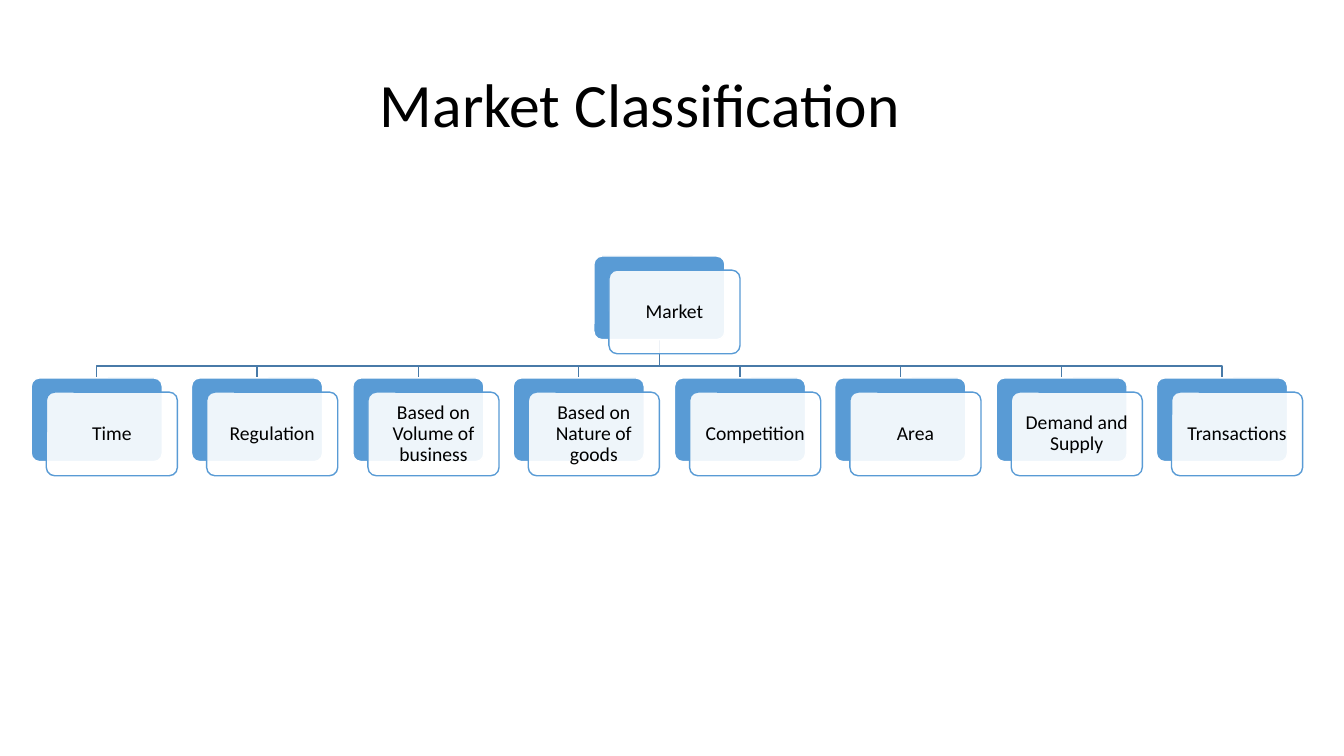
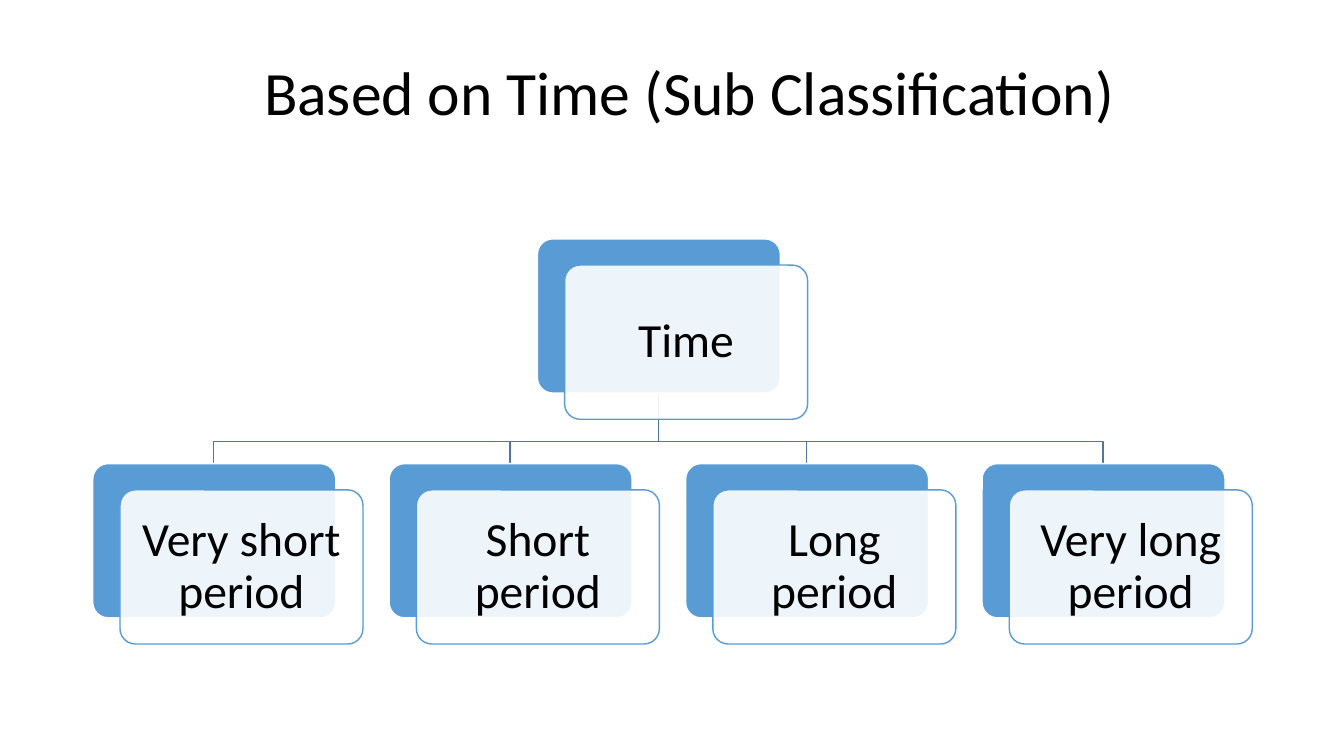
"""Build two slides that show market classifications as tree charts."""
from lxml import etree
from pptx import Presentation
from pptx import util as u
from pptx.dml.color import RGBColor
from pptx.enum import shapes, text
from pptx.oxml.ns import qn

PX = 9144
FONT = "Calibri"
BLACK = RGBColor(0x00, 0x00, 0x00)
WHITE = RGBColor(0xFF, 0xFF, 0xFF)
CARD_BLUE = RGBColor(0x59, 0x9B, 0xD5)
BRANCH_BLUE = RGBColor(0x48, 0x7A, 0xA8)
SLIDE_WIDTH, SLIDE_HEIGHT = 1333, 750
TITLE_HEIGHT = 145

TREES = [
    {
        "title": "Market Classification", "title_at": (367, 34),
        "root": "Market", "root_top": 254,
        "children": ["Time", "Regulation", "Based on Volume of business",
                     "Based on Nature of goods", "Competition", "Area",
                     "Demand and Supply", "Transactions"],
        "first_left": 31, "last_left": 1147, "children_top": 375,
        "card": (130, 83), "offset": (15, 14), "bend": 12,
        "margin": 6, "size": 14,
    },
    {
        "title": "Based on Time (Sub Classification)", "title_at": (252, 22),
        "root": "Time", "root_top": 237,
        "children": ["Very short period", "Short period", "Long period",
                     "Very long period"],
        "first_left": 92, "last_left": 974, "children_top": 460,
        "card": (241, 153), "offset": (27, 26), "bend": 22,
        "margin": 14, "size": 34,
    },
]


def write(shape, wording, size, alignment, margins):
    """Fill a shape with one paragraph, centred vertically."""
    frame = shape.text_frame
    frame.word_wrap = True
    frame.vertical_anchor = text.MSO_ANCHOR.MIDDLE
    frame.margin_left = frame.margin_right = margins[0] * PX
    frame.margin_top = frame.margin_bottom = margins[1] * PX
    frame.text = wording
    paragraph = frame.paragraphs[0]
    paragraph.alignment = alignment
    paragraph.line_spacing = 0.9
    font = paragraph.runs[0].font
    font.name, font.size, font.color.rgb = FONT, u.Pt(size), BLACK


def add_card(slide, left, top, size, fill, line):
    """Add a rounded card with a thin outline."""
    shape = slide.shapes.add_shape(
        shapes.MSO_SHAPE.ROUNDED_RECTANGLE,
        left * PX, top * PX, size[0] * PX, size[1] * PX)
    shape.shadow.inherit = False
    shape.adjustments[0] = 0.1
    shape.fill.solid()
    shape.fill.fore_color.rgb = fill
    shape.line.color.rgb = line
    shape.line.width = u.Pt(1)
    return shape


presentation = Presentation()
presentation.slide_width = SLIDE_WIDTH * PX
presentation.slide_height = SLIDE_HEIGHT * PX

for tree in TREES:
    slide = presentation.slides.add_slide(presentation.slide_layouts[6])
    left, top = tree["title_at"]
    title = slide.shapes.add_textbox(
        left * PX, top * PX, (SLIDE_WIDTH - left) * PX, TITLE_HEIGHT * PX)
    write(title, tree["title"], 44, text.PP_ALIGN.LEFT, (10, 5))

    width, height = tree["card"]
    children_top = tree["children_top"]
    first, last = tree["first_left"], tree["last_left"]
    step = (last - first) / (len(tree["children"]) - 1)
    root_left = (first + last) // 2
    cards = [(tree["root"], root_left, tree["root_top"])]
    for index, wording in enumerate(tree["children"]):
        cards.append((wording, round(first + index * step), children_top))

    root_middle = root_left + width // 2
    bend_y = children_top - tree["bend"]
    for wording, left, top in cards[1:]:
        middle = left + width // 2
        builder = slide.shapes.build_freeform(
            root_middle, tree["root_top"] + height, scale=PX)
        builder.add_line_segments(
            [(root_middle, bend_y), (middle, bend_y), (middle, children_top)],
            close=False)
        branch = builder.convert_to_shape()
        branch.shadow.inherit = False
        branch.fill.background()
        branch.line.color.rgb = BRANCH_BLUE
        branch.line.width = u.Pt(1)

    shift_x, shift_y = tree["offset"]
    for wording, left, top in cards:
        add_card(slide, left, top, tree["card"], CARD_BLUE, WHITE)
        front = add_card(slide, left + shift_x, top + shift_y, tree["card"],
                         WHITE, CARD_BLUE)
        colour = front.element.spPr.find(qn("a:solidFill"))[0]
        etree.SubElement(colour, qn("a:alpha"), val="90000")
        write(front, wording, tree["size"], text.PP_ALIGN.CENTER,
              (tree["margin"], tree["margin"]))

presentation.save("out.pptx")
